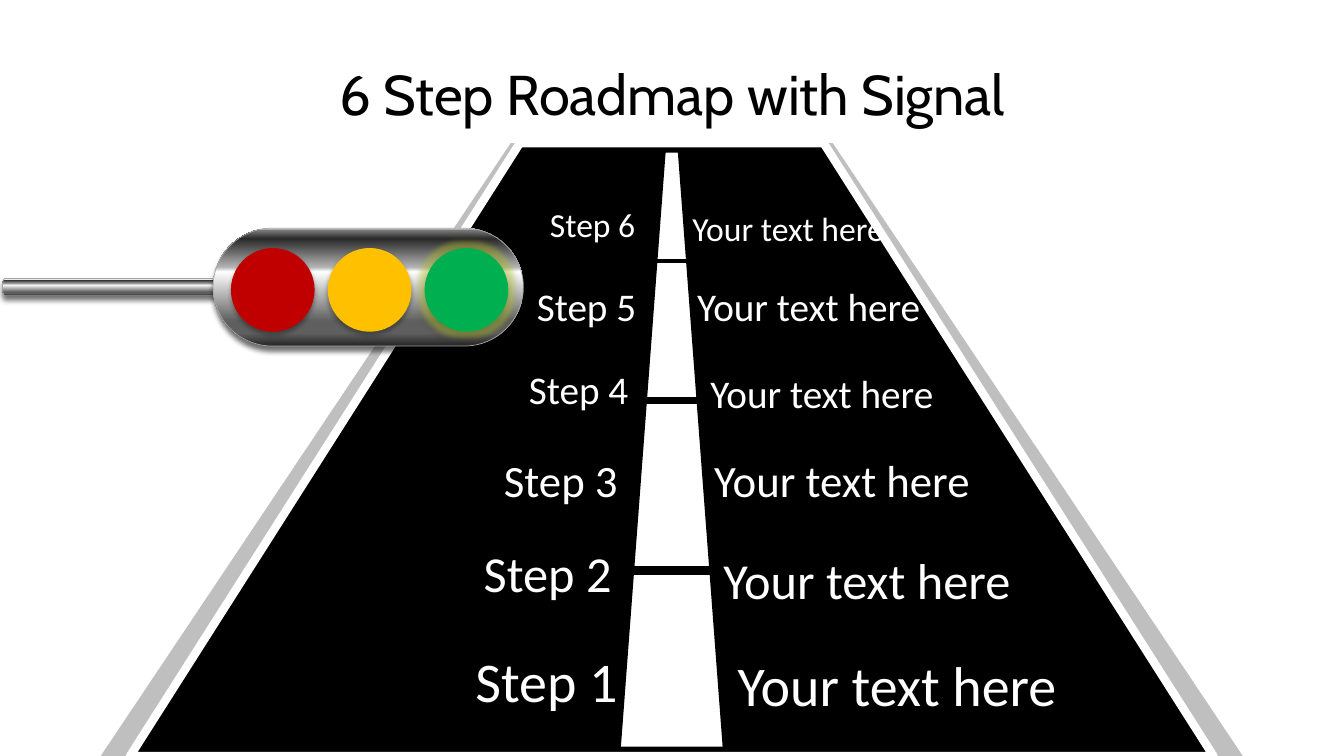
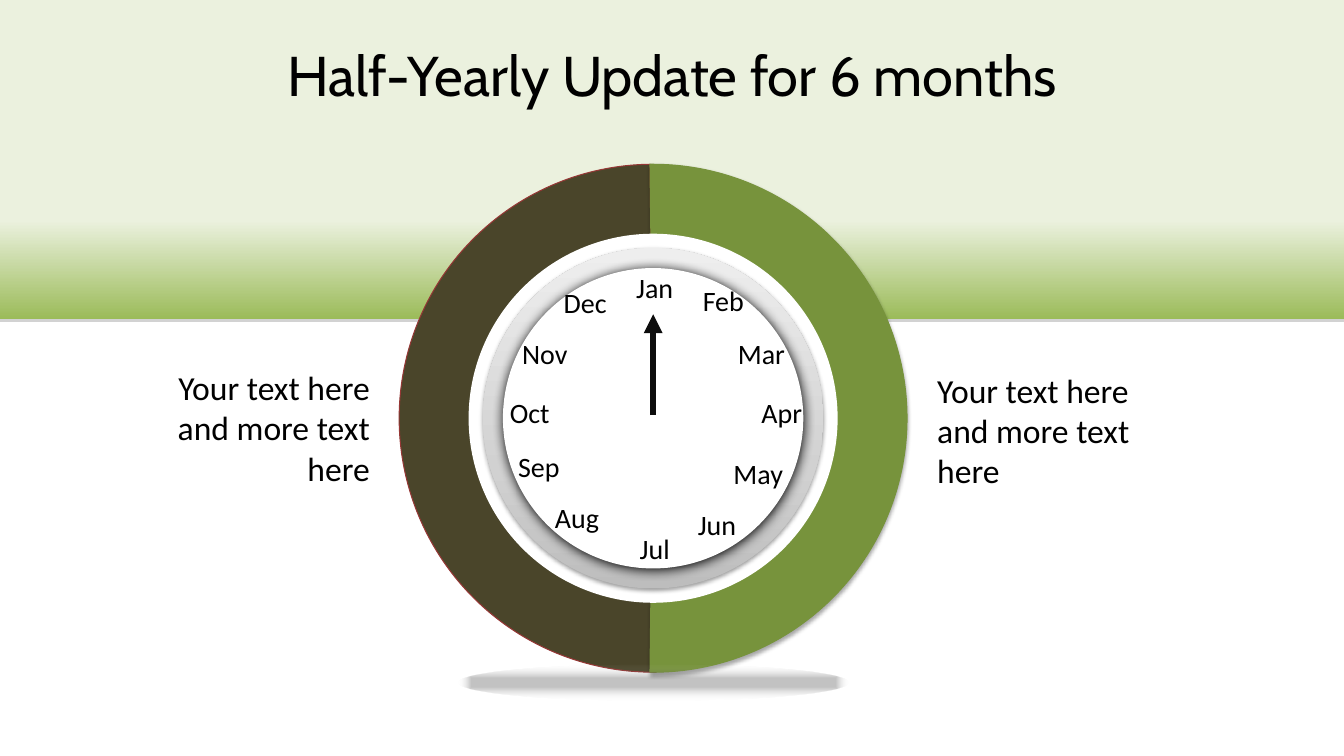
from collections import namedtuple

from pptx import Presentation
from pptx.dml.color import RGBColor
from pptx.enum.shapes import MSO_CONNECTOR, MSO_SHAPE
from pptx.enum.text import MSO_ANCHOR, MSO_AUTO_SIZE, PP_ALIGN
from pptx.oxml import parse_xml
from pptx.oxml.ns import nsdecls, qn
from pptx.util import Cm, Pt

LEFT, CENTER, RIGHT = PP_ALIGN.LEFT, PP_ALIGN.CENTER, PP_ALIGN.RIGHT
TOP, MIDDLE = MSO_ANCHOR.TOP, MSO_ANCHOR.MIDDLE
RECT, OVAL, PILL = MSO_SHAPE.RECTANGLE, MSO_SHAPE.OVAL, MSO_SHAPE.ROUNDED_RECTANGLE
TRAPEZOID, CAN, ARC = MSO_SHAPE.TRAPEZOID, MSO_SHAPE.CAN, MSO_SHAPE.BLOCK_ARC
STRAIGHT = MSO_CONNECTOR.STRAIGHT
FIT_SHAPE, NO_FIT = MSO_AUTO_SIZE.SHAPE_TO_FIT_TEXT, MSO_AUTO_SIZE.NONE

# Shared look: all lengths are centimetres
Box = namedtuple("Box", "left top width height")
BLACK, WHITE = "000000", "FFFFFF"
TITLE_FONT, BODY_FONT = "Cabin", "Calibri"
TITLE_FORMAT = {"name": TITLE_FONT, "size": Pt(40), "bold": False}
METAL = [(0, "262626"), (11, "5F5F5F"), (21, "5F5F5F"), (63, "FFFFFF"),
         (67, "B2B2B2"), (91, "292929"), (98, "777777"), (100, "EAEAEA")]
SILVER = [(0, "BDBDBD"), (35, "D1D1D1"), (100, "EEEEEE")]
BAND = [(0, "EBF1DE"), (48, "EBF1DE"), (69, "EBF1DE"), (100, "9BBB59")]
SOFT = [(24, "000000", 24), (100, "FFFFFF", 0)]
LINEAR = '<a:lin ang="{}" scaled="0"/>'
RADIAL = ('<a:path path="shape"><a:fillToRect l="50000" t="50000" '
          'r="50000" b="50000"/></a:path>')

# Step, text size, label offset and text offset from the road's corner
STEPS = [
    ("Step 6", 24, (11.07, 1.40), (14.66, 1.50)),
    ("Step 5", 28, (10.74, 3.38), (14.78, 3.38)),
    ("Step 4", 28, (10.54, 5.46), (15.11, 5.56)),
    ("Step 3", 32, (9.91, 7.67), (15.21, 7.67)),
    ("Step 2", 36, (9.40, 9.93), (15.44, 10.11)),
    ("Step 1", 40, (9.19, 12.55), (15.80, 12.65)),
]
# Offset from the road's top, length and line width
DIVIDERS = [(10.77, 2.64, 6), (6.48, 1.80, 4.5), (2.97, 1.57, 3)]
LAMPS = ["C00000", "FFC000", "00B050"]
# Month centres from the middle of the clock
MONTHS = {
    "Jan": (0.04, -3.30), "Feb": (1.77, -2.97), "Mar": (2.73, -1.63),
    "Apr": (3.24, -0.13), "May": (2.65, 1.40), "Jun": (1.61, 2.69),
    "Jul": (0.04, 3.30), "Aug": (-1.92, 2.51), "Sep": (-2.88, 1.22),
    "Oct": (-3.11, -0.13), "Nov": (-2.73, -1.63), "Dec": (-1.71, -2.90),
}


def color(value):
    return RGBColor.from_string(value)


def cm(box):
    return [Cm(length) for length in box]


def around(x, y, width, height):
    """Box with its middle at x, y."""
    return Box(x - width / 2, y - height / 2, width, height)


def color_xml(value, alpha=100):
    return (f'<a:srgbClr val="{value}"><a:alpha val="{alpha * 1000}"/>'
            '</a:srgbClr>')


def gradient(shape, stops, direction):
    marks = "".join(f'<a:gs pos="{stop * 1000}">{color_xml(*rest)}</a:gs>'
                    for stop, *rest in stops)
    shape.fill.background()
    properties = shape._element.spPr
    properties.replace(properties.find(qn("a:noFill")), parse_xml(
        f'<a:gradFill {nsdecls("a")} rotWithShape="1"><a:gsLst>{marks}'
        f'</a:gsLst>{direction}</a:gradFill>'))


def add_effect(shape, name, attributes, value, alpha):
    effects = shape._element.spPr.find(qn("a:effectLst"))
    effects.append(parse_xml(f'<a:{name} {nsdecls("a")} {attributes}>'
                             f'{color_xml(value, alpha)}</a:{name}>'))


def glow(shape, value, alpha, radius):
    add_effect(shape, "glow", f'rad="{Pt(radius)}"', value, alpha)


def shadow(shape, alpha, blur, distance, value=BLACK):
    add_effect(shape, "outerShdw",
               f'blurRad="{Pt(blur)}" dist="{Pt(distance)}" dir="5400000" '
               'rotWithShape="0"', value, alpha)


def add_shape(slide, kind, box, fill=None, line=None, adjust=()):
    """Preset shape with plain fill; line is a colour and a width."""
    shape = slide.shapes.add_shape(kind, *cm(box))
    shape.shadow.inherit = False
    for index, value in enumerate(adjust):
        shape.adjustments[index] = value
    if fill:
        shape.fill.solid()
        shape.fill.fore_color.rgb = color(fill)
    if line:
        shape.line.color.rgb = color(line[0])
        shape.line.width = Pt(line[1])
    else:
        shape.line.fill.background()
    return shape


def add_line(slide, start, end, value, width, arrow=False):
    line = slide.shapes.add_connector(STRAIGHT, *cm(start + end))
    line.line.color.rgb = color(value)
    line.line.width = Pt(width)
    if arrow:
        line.line._get_or_add_ln().append(
            parse_xml(f'<a:tailEnd {nsdecls("a")} type="triangle"/>'))
    line._element.spPr.append(parse_xml(f'<a:effectLst {nsdecls("a")}/>'))


def write(frame, text, font, value, align, frame_format):
    for name, setting in frame_format.items():
        setattr(frame, name, setting)
    para = frame.paragraphs[0]
    para.alignment = align
    span = para.add_run()
    span.text = text
    for name, setting in font.items():
        setattr(span.font, name, setting)
    span.font.color.rgb = color(value)


def add_text(slide, box, text, size, value=BLACK, align=LEFT, wrap=True):
    frame = slide.shapes.add_textbox(*cm(box)).text_frame
    write(frame, text, {"name": BODY_FONT, "size": Pt(size)}, value, align,
          {"word_wrap": wrap, "auto_size": FIT_SHAPE, "vertical_anchor": TOP})


def set_title(slide, box, text):
    title = slide.shapes.title
    title.left, title.top, title.width, title.height = cm(box)
    write(title.text_frame, text, TITLE_FORMAT, BLACK, CENTER,
          {"word_wrap": True, "auto_size": NO_FIT, "vertical_anchor": MIDDLE})


def draw_road(slide, box):
    middle = box.left + box.width / 2
    add_shape(slide, TRAPEZOID, box, "BFBFBF", adjust=[0.669])
    add_shape(slide, TRAPEZOID,
              Box(middle - 13.65, box.top, 27.3, box.height),
              BLACK, (WHITE, 6), [0.636])
    # Centre line and its dividers
    add_shape(slide, TRAPEZOID,
              Box(middle - 1.32, box.top + 0.2, 2.64, box.height - 0.4),
              WHITE, (BLACK, 2), [0.429])
    for down, length, width in DIVIDERS:
        y = box.top + down
        add_line(slide, (middle - length / 2, y), (middle + length / 2, y),
                 BLACK, width)
    # Steps grow with their text size
    for label, size, label_at, text_at in STEPS:
        for text, (x, y), pace in ((label, label_at, 0.09),
                                   ("Your text here", text_at, 0.2)):
            place = Box(box.left + x, box.top + y,
                        0.55 + pace * size, 0.25 + 0.04 * size)
            add_text(slide, place, text, size, WHITE, wrap=False)


def draw_signal(slide, box):
    body, pole = 7.82, 6.91
    body_left = box.left + box.width - body
    y = box.top + box.height / 2
    # Pole and body lie on their side
    for kind, x, thick, length, bend in (
            (CAN, box.left + pole / 2, 0.43, pole, 0.25),
            (PILL, body_left + body / 2, box.height, body, 0.5)):
        part = add_shape(slide, kind, around(x, y, thick, length),
                         line=("A6A6A6", 0.5), adjust=[bend])
        part.rotation = 90
        gradient(part, METAL, LINEAR.format(10800000))
        shadow(part, 56, 4, 3)
    for index, value in enumerate(LAMPS):
        place = Box(body_left + 0.45 + index * 2.44, box.top + 0.5, 2.11, 2.11)
        lamp = add_shape(slide, OVAL, place, value)
        if index == len(LAMPS) - 1:
            glow(lamp, "C8D832", 40, 8)
        shadow(lamp, 32, 3.5, 2.2)


def draw_clock(slide, box):
    x, y = box.left + box.width / 2, box.top + box.height / 2
    # Half-year arcs, angles in degrees
    for start, end, fill, edge in ((89.3, 269.3, "4A452A", "953735"),
                                   (269.3, 90.7, "77933C", "77933C")):
        arc = add_shape(slide, ARC, box, fill, (edge, 0.75),
                        [start * 0.6, end * 0.6, 0.14])
    shadow(arc, 35, 3.1, 1.8)
    # Rim and face
    add_shape(slide, OVAL, around(x, y, 9.3, 9.3), WHITE)
    rim = add_shape(slide, OVAL, around(x, y, 8.58, 8.58))
    gradient(rim, SILVER, LINEAR.format(16200000))
    shadow(rim, 38, 3.1, 1.6)
    face = add_shape(slide, OVAL, around(x, y, 7.57, 7.57), WHITE)
    shadow(face, 100, 8.5, 1)
    add_line(slide, (x, y - 0.08), (x, y - 2.62), "0D0D0D", 4.5, arrow=True)
    for month, (right, down) in MONTHS.items():
        add_text(slide, around(x + right, y + down, 2.1, 1.12), month, 20,
                 align=CENTER)
    # Shade on the floor
    floor = add_shape(slide, OVAL, around(x, box.top + 13.06, 9.83, 0.89))
    gradient(floor, SOFT, RADIAL)


def build_roadmap(slide):
    set_title(slide, Box(1.7, 0.76, 30.48, 3.18), "6 Step Roadmap with Signal")
    draw_road(slide, Box(2.54, 3.61, 28.78, 15.44))
    draw_signal(slide, Box(0.06, 5.75, 13.13, 2.97))


def build_half_year(slide):
    band = add_shape(slide, RECT, Box(0, 0, 33.87, 8.05))
    gradient(band, BAND, LINEAR.format(5400000))
    shadow(band, 35, 0, 1.8, "808080")
    # The title stands in front of the band
    slide.shapes._spTree.append(slide.shapes.title._element)
    set_title(slide, Box(5.51, 0.76, 22.86, 2.21),
              "Half-Yearly Update for 6 months")
    draw_clock(slide, Box(10.06, 4.14, 12.8, 12.8))
    for left, top, align in ((23.37, 9.19, LEFT), (2.79, 9.12, RIGHT)):
        add_text(slide, Box(left, top, 6.78, 3.33),
                 "Your text here and more text here", 24, align=align)


def main():
    deck = Presentation()
    deck.slide_width, deck.slide_height = Cm(33.87), Cm(19.05)
    title_only = deck.slide_layouts[5]
    for build in (build_roadmap, build_half_year):
        page = deck.slides.add_slide(title_only)
        page.background.fill.solid()
        page.background.fill.fore_color.rgb = color(WHITE)
        build(page)
    deck.save("out.pptx")


if __name__ == "__main__":
    main()
